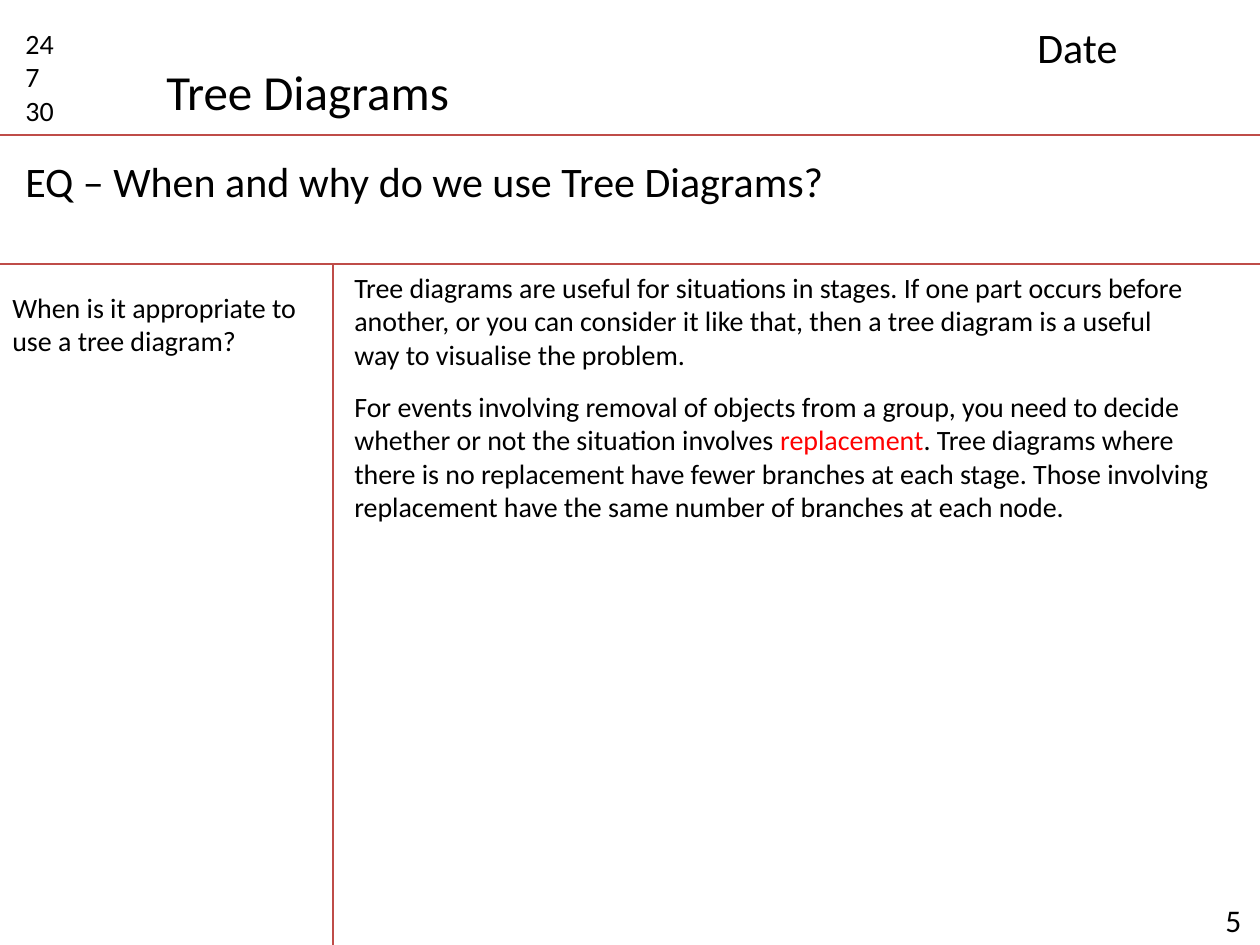
"""Build a note-taking slide about tree diagrams."""
from lxml.etree import SubElement
from pptx import Presentation
from pptx.dml.color import RGBColor as RGB
from pptx.enum.shapes import MSO_CONNECTOR as CONN
from pptx.enum.text import MSO_AUTO_SIZE as AUTO
from pptx.oxml.ns import qn
from pptx.util import Emu, Pt

SCALE = 914400 / 126
W, H = 1260, 945
TITLE_Y, NOTES_Y, MARGIN_X = 135, 264, 333
COLORS = {"text": "000000", "rule": "BF4C48", "key": "FF0000"}


def px(n):
    return Emu(round(n * SCALE))


def add_rule(slide, x1, y1, x2, y2):
    ln = slide.shapes.add_connector(CONN.STRAIGHT, px(x1), px(y1), px(x2), px(y2))
    ln.line.color.rgb = RGB.from_string(COLORS["rule"])
    ln.line.width = Pt(0.75)
    SubElement(ln._element.spPr, qn("a:effectLst"))


def add_text(slide, box, size, *paras, wrap=True):
    tb = slide.shapes.add_textbox(*map(px, box))
    tf = tb.text_frame
    for name, value in {"word_wrap": wrap, "auto_size": AUTO.SHAPE_TO_FIT_TEXT}.items():
        setattr(tf, name, value)
    for i, runs in enumerate(paras):
        p = tf.add_paragraph() if i else tf.paragraphs[0]
        for text, color in runs:
            r = p.add_run()
            r.text = text
            for name, value in {"name": "Calibri", "size": Pt(size)}.items():
                setattr(r.font, name, value)
            r.font.color.rgb = RGB.from_string(COLORS[color])


def plain(text):
    return [(text, "text")]


def main():
    prs = Presentation()
    prs.slide_width, prs.slide_height = px(W), px(H)
    s = prs.slides.add_slide(prs.slide_layouts[6])

    add_text(s, (1213, 895, 47, 50), 18, plain("5"))
    for y in (TITLE_Y, NOTES_Y):
        add_rule(s, 0, y, W, y)
    add_rule(s, MARGIN_X, NOTES_Y, MARGIN_X, H)

    add_text(s, (13, 20, 79, 115), 16, *map(plain, ("24", "7", "30")))
    add_text(s, (154, 55, 311, 72), 28, plain("Tree Diagrams"), wrap=False)
    add_text(s, (1025, 15, 218, 63), 24, plain("Date"))
    add_text(s, (13, 149, 1188, 63), 24,
             plain("EQ – When and why do we use Tree Diagrams?"))
    add_text(s, (0, 284, 312, 81), 16,
             plain("When is it appropriate to use a tree diagram?"))
    add_text(s, (342, 264, 873, 115), 16, plain(
        "Tree diagrams are useful for situations in stages. If one part occurs "
        "before another, or you can consider it like that, then a tree diagram "
        "is a useful way to visualise the problem."))
    add_text(s, (342, 383, 903, 149), 16, [
        ("For events involving removal of objects from a group, you need to "
         "decide whether or not the situation involves ", "text"),
        ("replacement", "key"),
        (". Tree diagrams where there is no replacement have fewer branches at "
         "each stage. Those involving replacement have the same number of "
         "branches at each node.", "text")])
    prs.save("out.pptx")


if __name__ == "__main__":
    main()
